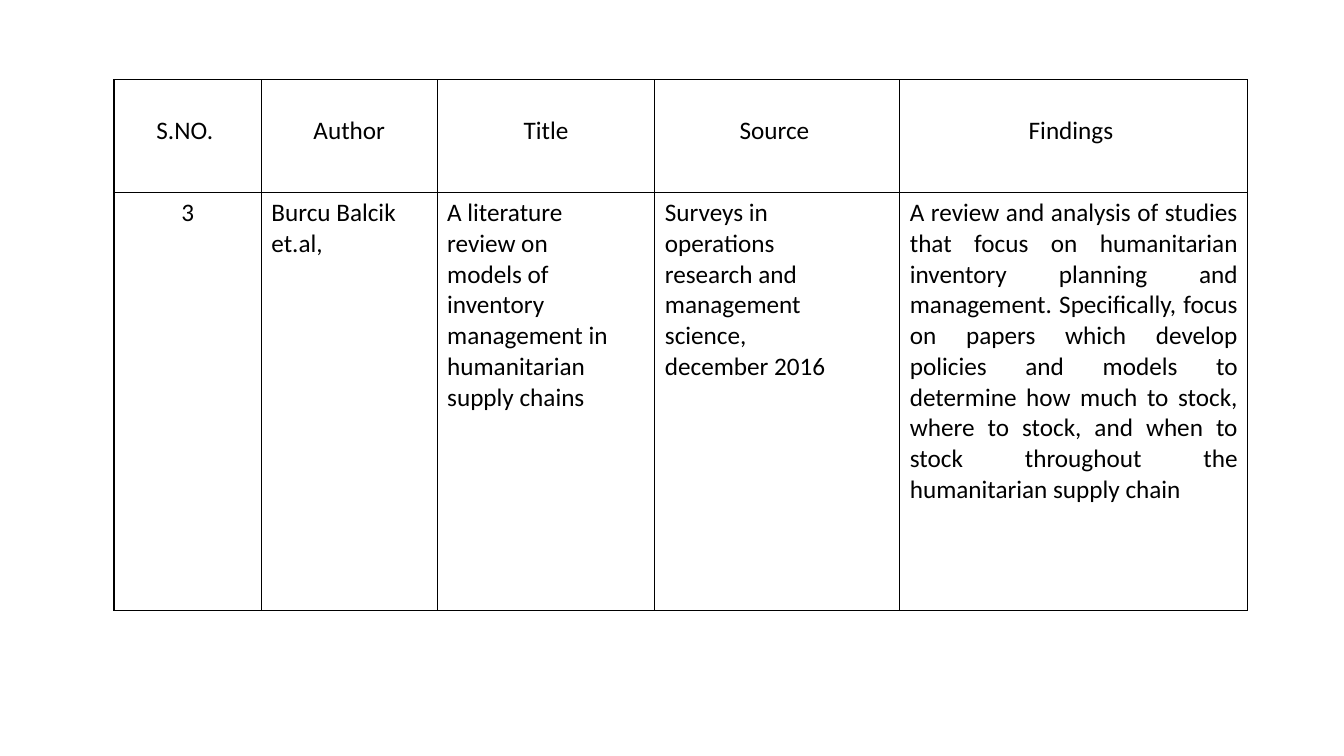
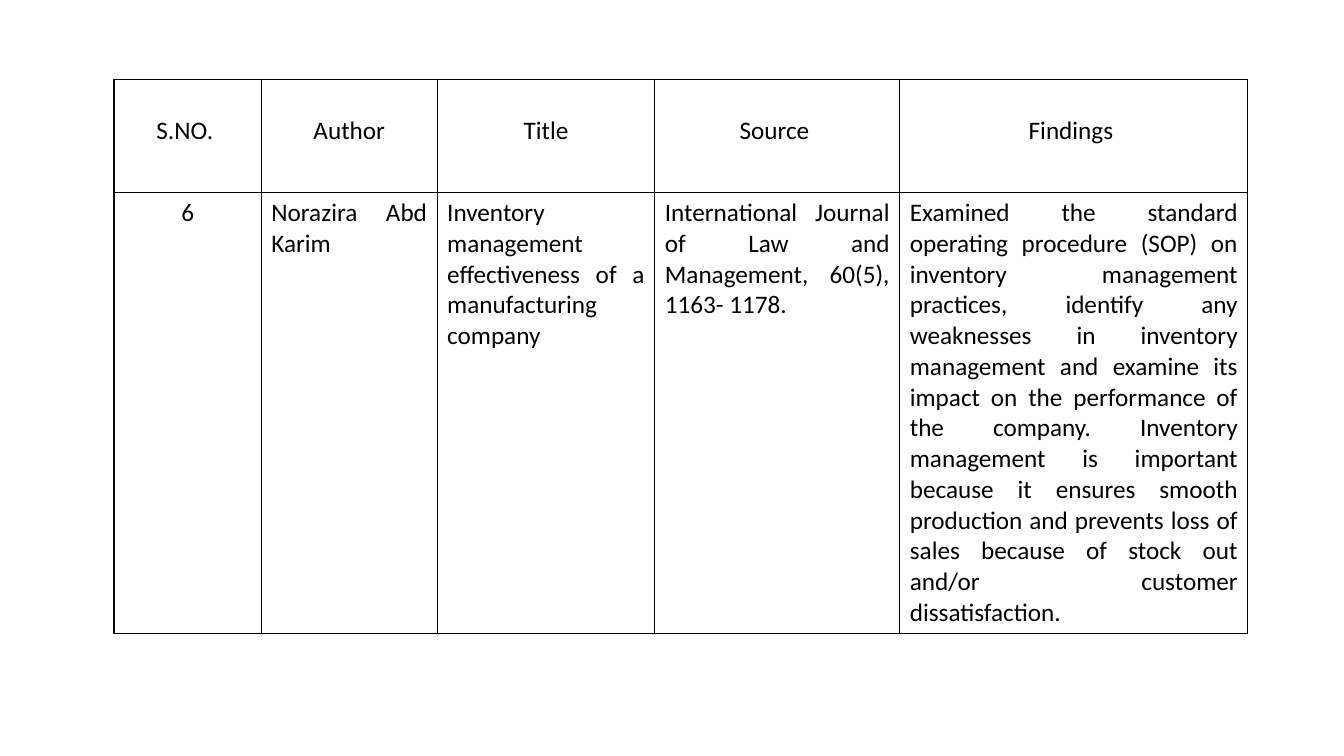
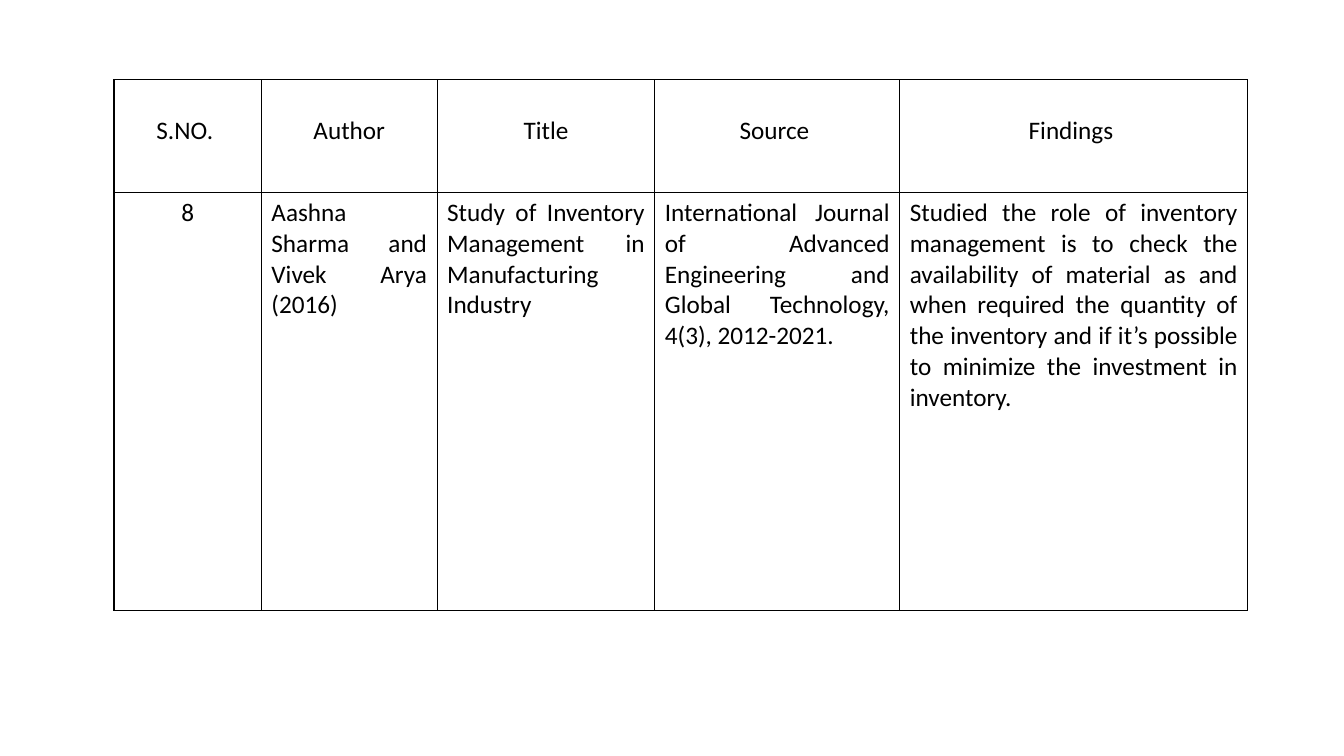
from lxml import etree
from pptx import Presentation
from pptx.dml.color import RGBColor
from pptx.enum.text import PP_ALIGN
from pptx.oxml.ns import qn
from pptx.util import Pt

CENTER, LEFT, JUSTIFY = PP_ALIGN.CENTER, PP_ALIGN.LEFT, PP_ALIGN.JUSTIFY
BLACK = RGBColor(0x00, 0x00, 0x00)
FONT_NAME = "Calibri"
FONT_SIZE = Pt(18)
BORDER_WIDTH = Pt(1)

TABLE_BOX = (Pt(81.4), Pt(56.9), Pt(810), Pt(379.4))
COLUMN_SHARES = (0.13, 0.155, 0.192, 0.216, 0.307)
HEADER_HEIGHT = Pt(80.6)
HEADER_TOP_MARGIN = Pt(25.6)
HEADERS = ("S.NO. ", "Author", "Title", "Source ", "Findings ")

# Each study: number, author, title, source, findings; one line per paragraph.
STUDIES = (
    (
        "3",
        "Burcu Balcik\net.al,",
        "A literature\nreview on\nmodels of\ninventory\nmanagement in\nhumanitarian\nsupply chains",
        "Surveys in\noperations\nresearch and\nmanagement\nscience,\ndecember 2016",
        "A review and analysis of studies that focus on humanitarian inventory "
        "planning and management. Specifically, focus on papers which develop "
        "policies and models to determine how much to stock, where to stock, and "
        "when to stock throughout the humanitarian supply chain",
    ),
    (
        "6",
        "Norazira Abd Karim",
        "Inventory management effectiveness of a manufacturing company",
        "International Journal of Law and Management, 60(5), 1163- 1178.",
        "Examined the standard operating procedure (SOP) on inventory management "
        "practices, identify any weaknesses in inventory management and examine its "
        "impact on the performance of the company. Inventory management is important "
        "because it ensures smooth production and prevents loss of sales because of "
        "stock out and/or customer dissatisfaction.",
    ),
    (
        "8",
        "Aashna Sharma and Vivek Arya (2016)",
        "Study of Inventory Management in Manufacturing Industry",
        "International Journal of Advanced Engineering and Global Technology, "
        "4(3), 2012-2021.",
        "Studied the role of inventory management is to check the availability of "
        "material as and when required the quantity of the inventory and if it’s "
        "possible to minimize the investment in inventory.",
    ),
)


def add_borders(cell):
    properties = cell._tc.get_or_add_tcPr()
    for side in ("a:lnL", "a:lnR", "a:lnT", "a:lnB"):
        line = etree.SubElement(properties, qn(side), w=str(BORDER_WIDTH))
        fill = etree.SubElement(line, qn("a:solidFill"))
        etree.SubElement(fill, qn("a:srgbClr"), val=str(BLACK))


def fill_cell(cell, text, alignment):
    add_borders(cell)
    cell.fill.background()
    frame = cell.text_frame
    for index, line in enumerate(text.split("\n")):
        paragraph = frame.add_paragraph() if index else frame.paragraphs[0]
        paragraph.alignment = alignment
        run = paragraph.add_run()
        run.text = line
        run.font.name = FONT_NAME
        run.font.size = FONT_SIZE
        run.font.color.rgb = BLACK


def add_study_table(slide, study, box):
    left, top, width, height = box
    table = slide.shapes.add_table(2, len(HEADERS), left, top, width, height).table
    table.first_row = False
    table.horz_banding = False
    table.rows[0].height = HEADER_HEIGHT
    table.rows[1].height = height - HEADER_HEIGHT

    author_alignment = LEFT if "\n" in study[1] else JUSTIFY
    alignments = (CENTER, author_alignment, JUSTIFY, JUSTIFY, JUSTIFY)
    for index, share in enumerate(COLUMN_SHARES):
        table.columns[index].width = int(width * share)
        header = table.cell(0, index)
        header.margin_top = HEADER_TOP_MARGIN
        fill_cell(header, HEADERS[index], CENTER)
        fill_cell(table.cell(1, index), study[index], alignments[index])


def main():
    presentation = Presentation()
    presentation.slide_width = Pt(960)
    presentation.slide_height = Pt(540)
    blank_layout = presentation.slide_layouts[6]
    for study in STUDIES:
        slide = presentation.slides.add_slide(blank_layout)
        add_study_table(slide, study, TABLE_BOX)
    presentation.save("out.pptx")


if __name__ == "__main__":
    main()
